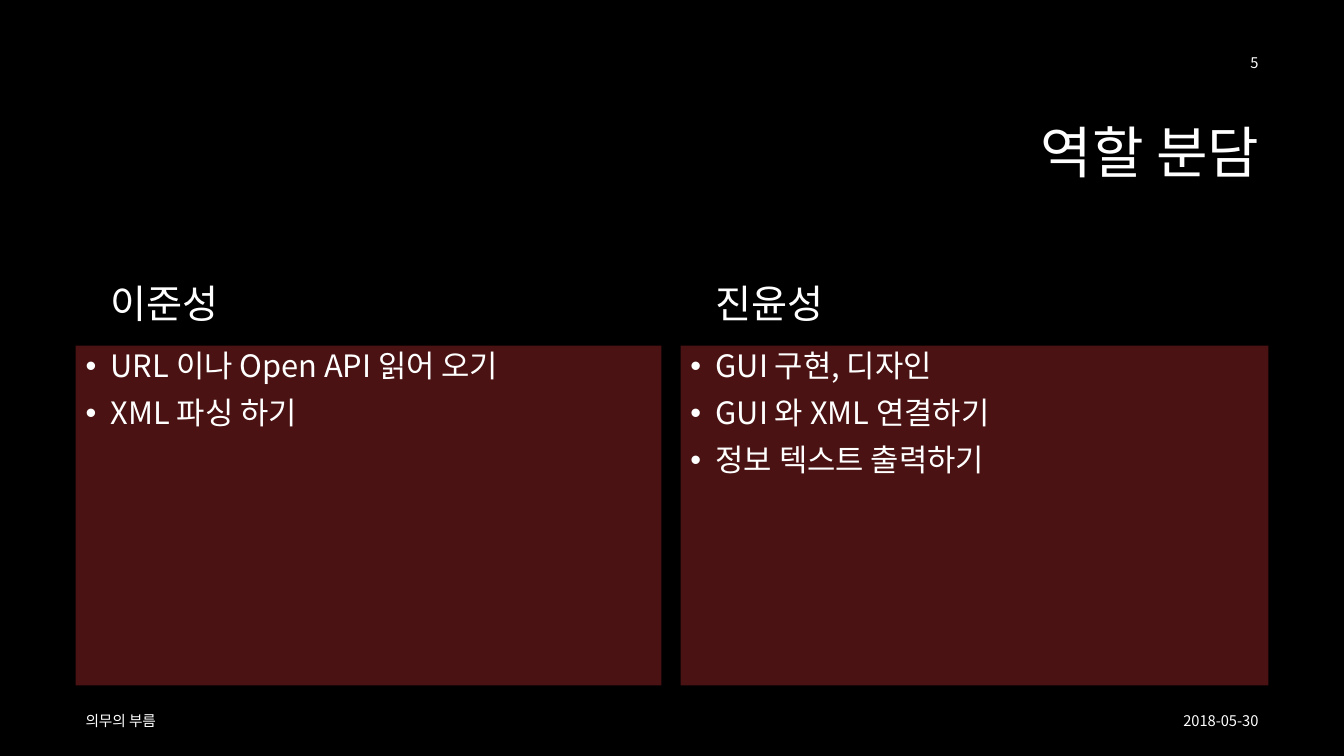
import pptx
import pptx.dml.color
import pptx.enum.shapes
import pptx.enum.text
import pptx.oxml.ns
import pptx.util
from lxml import etree

Inches = pptx.util.Inches
Pt = pptx.util.Pt
Align = pptx.enum.text.PP_ALIGN
Anchor = pptx.enum.text.MSO_ANCHOR
qn = pptx.oxml.ns.qn


class Deck:
    font = "Noto Sans CJK KR"
    hues = {"back": "000000", "panel": "4A1212", "text": "FFFFFF"}

    def __init__(self, wide, high):
        self.file = pptx.Presentation()
        self.file.slide_width = Inches(wide)
        self.file.slide_height = Inches(high)
        self.slide = self.file.slides.add_slide(self.file.slide_layouts[5])
        self.paint(self.slide.background.fill, "back")

    def paint(self, fill, hue):
        fill.solid()
        fill.fore_color.rgb = self.color(hue)

    def color(self, hue):
        return pptx.dml.color.RGBColor.from_string(self.hues[hue])

    def letter(self, shape, lines, size, align=Align.LEFT,
               anchor=Anchor.MIDDLE, lead=1.0, before=0, dots=False):
        frame = shape.text_frame
        frame.text = "\n".join(lines)
        frame.word_wrap = True
        frame.auto_size = pptx.enum.text.MSO_AUTO_SIZE.NONE
        frame.vertical_anchor = anchor
        for para in frame.paragraphs:
            para.alignment = align
            para.line_spacing = lead
            para.space_before = Pt(before)
            if dots:
                self.bullet(para)
            font = para.font
            font.name = self.font
            font.size = Pt(size)
            font.color.rgb = self.color("text")
            east = etree.Element(qn("a:ea"), typeface=self.font)
            font._element.find(qn("a:latin")).addnext(east)

    def bullet(self, para):
        props = para._p.get_or_add_pPr()
        props.set("marL", str(Inches(0.25)))
        props.set("indent", str(-Inches(0.25)))
        etree.SubElement(props, qn("a:buFont"), typeface="Arial")
        etree.SubElement(props, qn("a:buChar"), char="•")

    def title(self, text, box):
        shape = self.slide.shapes.title
        shape.left, shape.top, shape.width, shape.height = map(Inches, box)
        self.letter(shape, [text], 40, Align.RIGHT, lead=0.9)

    def label(self, text, box, size, **style):
        shape = self.slide.shapes.add_textbox(*map(Inches, box))
        self.letter(shape, [text], size, **style)

    def panel(self, lines, box):
        kind = pptx.enum.shapes.MSO_SHAPE.RECTANGLE
        shape = self.slide.shapes.add_shape(kind, *map(Inches, box))
        shape.shadow.inherit = False
        self.paint(shape.fill, "panel")
        shape.line.fill.background()
        self.letter(shape, lines, 22, anchor=Anchor.TOP, lead=0.9, before=10,
                    dots=True)


deck = Deck(13.33, 7.5)
deck.title("역할 분담", (3.17, 0.83, 9.42, 1.42))

roles = [
    (0.75, 5.81, "이준성", ["URL 이나 Open API 읽어 오기", "XML 파싱 하기"]),
    (6.75, 5.83, "진윤성",
     ["GUI 구현, 디자인", "GUI 와 XML 연결하기", "정보 텍스트 출력하기"]),
]
for left, width, name, tasks in roles:
    deck.label(name, (left + 0.25, 2.39, width - 0.25, 0.9), 28,
               anchor=Anchor.BOTTOM, lead=0.9, before=10)
    deck.panel(tasks, (left, 3.43, width, 3.37))

notes = [
    ("2018-05-30", (9.4, 6.95, 3.18, 0.4), Align.RIGHT),
    ("의무의 부름", (0.75, 6.95, 8.5, 0.4), Align.LEFT),
    ("5", (9.58, 0.42, 3, 0.4), Align.RIGHT),
]
for text, box, align in notes:
    deck.label(text, box, 10.5, align=align)

deck.file.save("out.pptx")
